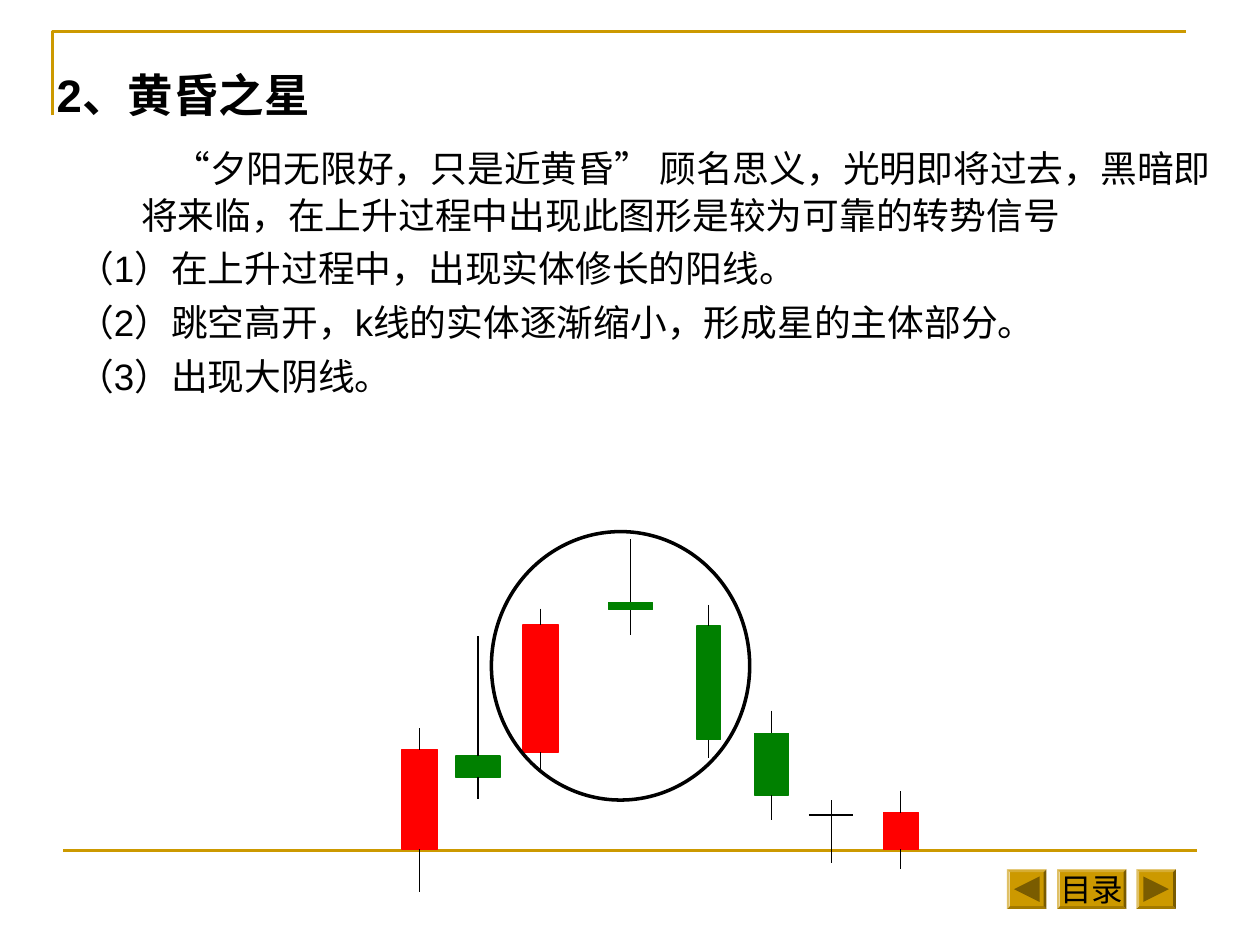
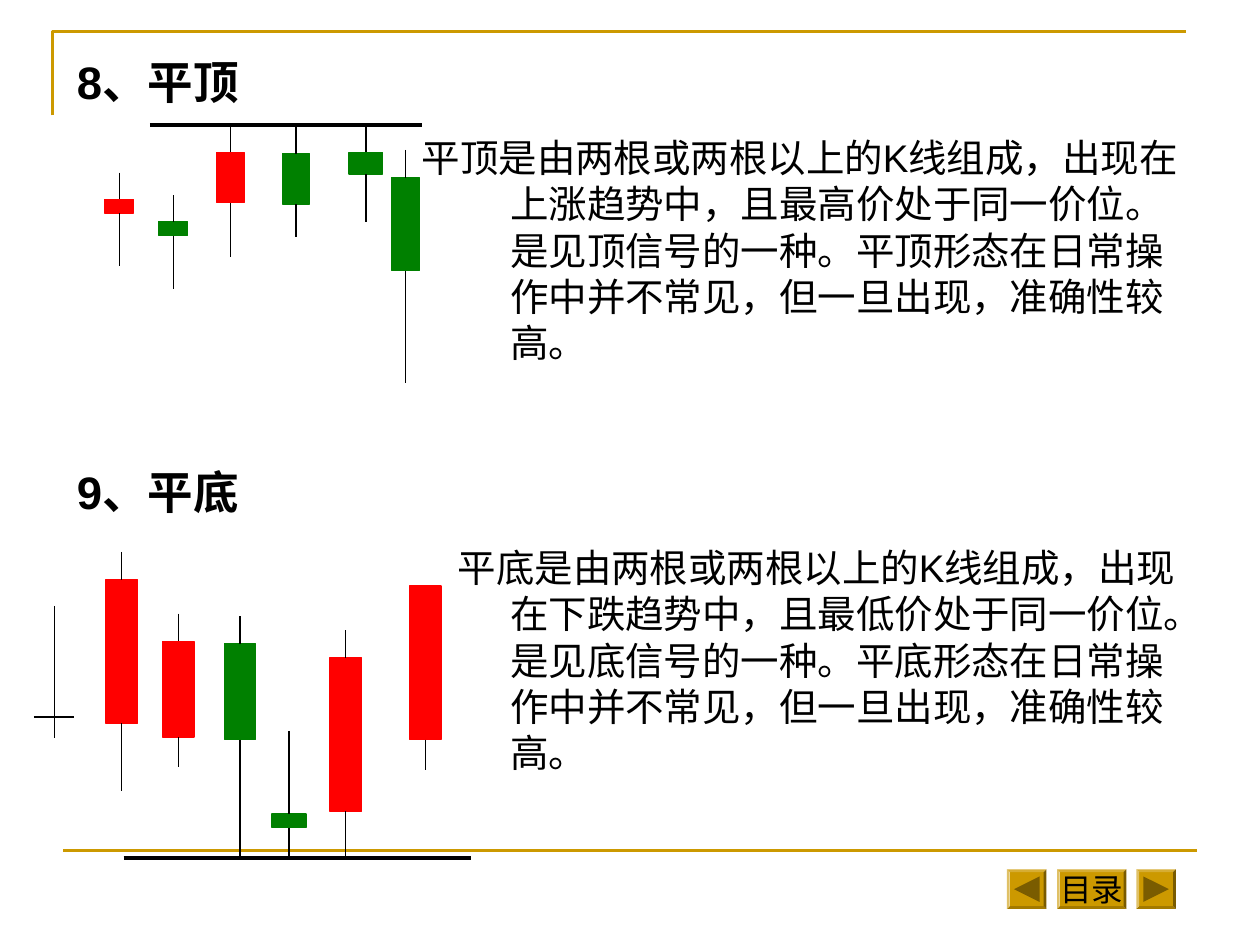
"""Build two slides on candlestick patterns with a shared frame and navigation buttons."""
from lxml.etree import SubElement
from pptx import Presentation
from pptx.dml.color import RGBColor
from pptx.enum.shapes import MSO_CONNECTOR, MSO_SHAPE
from pptx.enum.text import MSO_ANCHOR, MSO_AUTO_SIZE, PP_ALIGN
from pptx.oxml.ns import qn
from pptx.util import Pt

GOLD, DARK_GOLD, BLACK = "CC9900", "7A5C00", "000000"
RED, GREEN = "FF0000", "008000"
LATIN_FONT, CHINESE_FONT = "Arial", "Noto Sans CJK SC"
HEADING_SIZE, HEADING_PITCH = 26, 32
rgb = RGBColor.from_string


def write(box, area, lines, size, pitch, bold=False, gap=0):
    """Place a text holder and fill it with (text, left margin, first indent) lines."""
    box.left, box.top, box.width, box.height = [Pt(value) for value in area]
    frame = box.text_frame
    frame.margin_left = frame.margin_right = frame.margin_top = frame.margin_bottom = 0
    frame.word_wrap = True
    frame.auto_size = MSO_AUTO_SIZE.NONE
    frame.vertical_anchor = MSO_ANCHOR.TOP
    frame.text = "\n".join(text for text, margin, indent in lines)
    for number, (para, (text, margin, indent)) in enumerate(zip(frame.paragraphs, lines)):
        properties = para._p.get_or_add_pPr()
        properties.set("marL", str(Pt(margin)))
        properties.set("indent", str(Pt(indent)))
        SubElement(properties, qn("a:buNone"))
        para.alignment = PP_ALIGN.LEFT
        para.line_spacing = Pt(pitch)
        para.space_before = Pt(gap if number else 0)
        for span in para.runs:
            span.font.size = Pt(size)
            span.font.bold = bold
            span.font.name = LATIN_FONT
            span.font.color.rgb = rgb(BLACK)
            SubElement(span._r.rPr, qn("a:ea"), typeface=CHINESE_FONT)


def draw_line(page, x1, y1, x2, y2, colour=BLACK, weight=0.75):
    """Draw a straight line without a shadow."""
    line = page.shapes.add_connector(MSO_CONNECTOR.STRAIGHT, Pt(x1), Pt(y1), Pt(x2), Pt(y2))
    line.line.color.rgb = rgb(colour)
    line.line.width = Pt(weight)
    SubElement(line._element.spPr, qn("a:effectLst"))


deck = Presentation()
deck.slide_width, deck.slide_height = Pt(720), Pt(540)

star_page = deck.slides.add_slide(deck.slide_layouts[1])
write(star_page.shapes.title, (32.4, 37.4, 660, 36), [("2、黄昏之星", 0, 0)],
      HEADING_SIZE, HEADING_PITCH, bold=True)
write(star_page.placeholders[1], (32.4, 81.4, 660, 160), [
    ("“夕阳无限好，只是近黄昏” 顾名思义，光明即将过去，黑暗即将来临，"
     "在上升过程中出现此图形是较为可靠的转势信号", 48.2, 18.5),
    ("（1）在上升过程中，出现实体修长的阳线。", 48.2, -36.5),
    ("（2）跳空高开，k线的实体逐渐缩小，形成星的主体部分。", 48.2, -36.5),
    ("（3）出现大阴线。", 48.2, -36.5),
], 21, 26.9, gap=3.7)

flat_page = deck.slides.add_slide(deck.slide_layouts[4])
spare = flat_page.placeholders[1]
spare._element.getparent().remove(spare._element)
sections = [
    (flat_page.shapes.title, flat_page.placeholders[2], 30, "8、平顶", -50.6,
     "平顶是由两根或两根以上的K线组成，出现在上涨趋势中，且最高价处于同一价位。"
     "是见顶信号的一种。平顶形态在日常操作中并不常见，但一旦出现，准确性较高。"),
    (flat_page.placeholders[3], flat_page.placeholders[4], 264.3, "9、平底", -30,
     "平底是由两根或两根以上的K线组成，出现在下跌趋势中，且最低价处于同一价位。"
     "是见底信号的一种。平底形态在日常操作中并不常见，但一旦出现，准确性较高。"),
]
for heading, body, top, name, indent, text in sections:
    write(heading, (43.9, top, 190, 36), [(name, 0, 0)], HEADING_SIZE, HEADING_PITCH, bold=True)
    write(body, (241, top + 46.4, 436, 140), [(text, 50.6, indent)], 22, 26.5)

for page in deck.slides:
    builder = page.shapes.build_freeform(Pt(30), Pt(66))
    builder.add_line_segments([(Pt(30), Pt(18)), (Pt(678), Pt(18))], close=False)
    corner = builder.convert_to_shape()
    corner.shadow.inherit = False
    corner.fill.background()
    corner.line.color.rgb = rgb(GOLD)
    corner.line.width = Pt(1.5)
    draw_line(page, 36, 486, 684, 486, GOLD, 1.5)

    for left, width, label, turn in [(575.4, 22.6, "", -90), (604, 39.6, "目录", 0), (649.3, 22.6, "", 90)]:
        button = page.shapes.add_shape(MSO_SHAPE.BEVEL, Pt(left), Pt(496.8), Pt(width), Pt(22.6))
        button.adjustments[0] = 0.07
        parts = [(button, GOLD)]
        if label:
            frame = button.text_frame
            frame.margin_left = frame.margin_right = frame.margin_top = frame.margin_bottom = 0
            frame.word_wrap = False
            frame.vertical_anchor = MSO_ANCHOR.MIDDLE
            frame.text = label
            para = frame.paragraphs[0]
            para.alignment = PP_ALIGN.CENTER
            para.font.size = Pt(18)
            para.font.name = LATIN_FONT
            para.font.color.rgb = rgb(BLACK)
        else:
            arrow = page.shapes.add_shape(
                MSO_SHAPE.ISOSCELES_TRIANGLE, Pt(left + 4), Pt(500.8), Pt(14.6), Pt(14.6))
            arrow.rotation = turn
            parts.append((arrow, DARK_GOLD))
        for part, colour in parts:
            part.shadow.inherit = False
            part.fill.solid()
            part.fill.fore_color.rgb = rgb(colour)
            part.line.fill.background()

# left, width, high, body top, body bottom, low, colour
star_candles = [
    (229.7, 20.2, 416.2, 428.4, 485.3, 509.8, RED),
    (260.6, 25.2, 363.6, 432, 444.2, 456.5, GREEN),
    (298.8, 20.2, 347.8, 357.1, 429.8, 439.9, RED),
    (347.8, 25.2, 308.2, 344.2, 348.5, 362.9, GREEN),
    (398.2, 13.7, 345.6, 357.8, 422.6, 433.4, GREEN),
    (431.3, 19.4, 406.1, 419, 454.3, 468.7, GREEN),
    (504.7, 20.2, 452.2, 464.4, 485.3, 496.8, RED),
]
flat_candles = [
    (59.8, 16.6, 98.6, 113.8, 121.7, 151.9, RED),
    (90.7, 16.6, 111.6, 126.7, 134.6, 164.9, GREEN),
    (123.8, 15.8, 72, 87.1, 115.9, 146.9, RED),
    (161.3, 15.8, 72, 87.8, 116.6, 135.4, GREEN),
    (199.4, 19.4, 71.3, 87.1, 99.4, 126.7, GREEN),
    (223.9, 15.8, 85.7, 101.5, 154.8, 218.9, GREEN),
    (60.5, 18, 315.4, 331.2, 413.3, 452.2, RED),
    (92.9, 18, 350.6, 366.5, 421.2, 438.5, RED),
    (128.2, 18, 352.1, 367.9, 422.6, 489.6, GREEN),
    (155.5, 19.4, 417.6, 465.1, 473, 489.6, GREEN),
    (188.6, 18, 360, 375.8, 463.7, 491, RED),
    (234, 18, 334.8, 334.8, 422.6, 439.9, RED),
]
for page, candles in [(star_page, star_candles), (flat_page, flat_candles)]:
    for left, width, high, top, bottom, low, colour in candles:
        candle = page.shapes.add_shape(
            MSO_SHAPE.RECTANGLE, Pt(left), Pt(top), Pt(width), Pt(bottom - top))
        candle.shadow.inherit = False
        candle.fill.solid()
        candle.fill.fore_color.rgb = rgb(colour)
        candle.line.color.rgb = rgb(colour)
        candle.line.width = Pt(0.75)
        middle = left + width / 2
        for start, end in [(high, top), (bottom, low)]:
            if start < end:
                draw_line(page, middle, start, middle, end)

for page, left, right, level, middle, high, low in [
        (star_page, 462.2, 487.4, 465.8, 475.2, 457.2, 493.2),
        (flat_page, 19.4, 42.5, 409.7, 31, 346.3, 421.9)]:
    draw_line(page, left, level, right, level)
    draw_line(page, middle, high, middle, low)

for left, right, level in [(85.7, 241.2, 71.3), (70.6, 269.3, 490.3)]:
    draw_line(flat_page, left, level, right, level, weight=2)

ring = star_page.shapes.add_shape(MSO_SHAPE.OVAL, Pt(280.8), Pt(303.8), Pt(147.6), Pt(153.4))
ring.shadow.inherit = False
ring.fill.background()
ring.line.color.rgb = rgb(BLACK)
ring.line.width = Pt(2)

deck.save("out.pptx")
